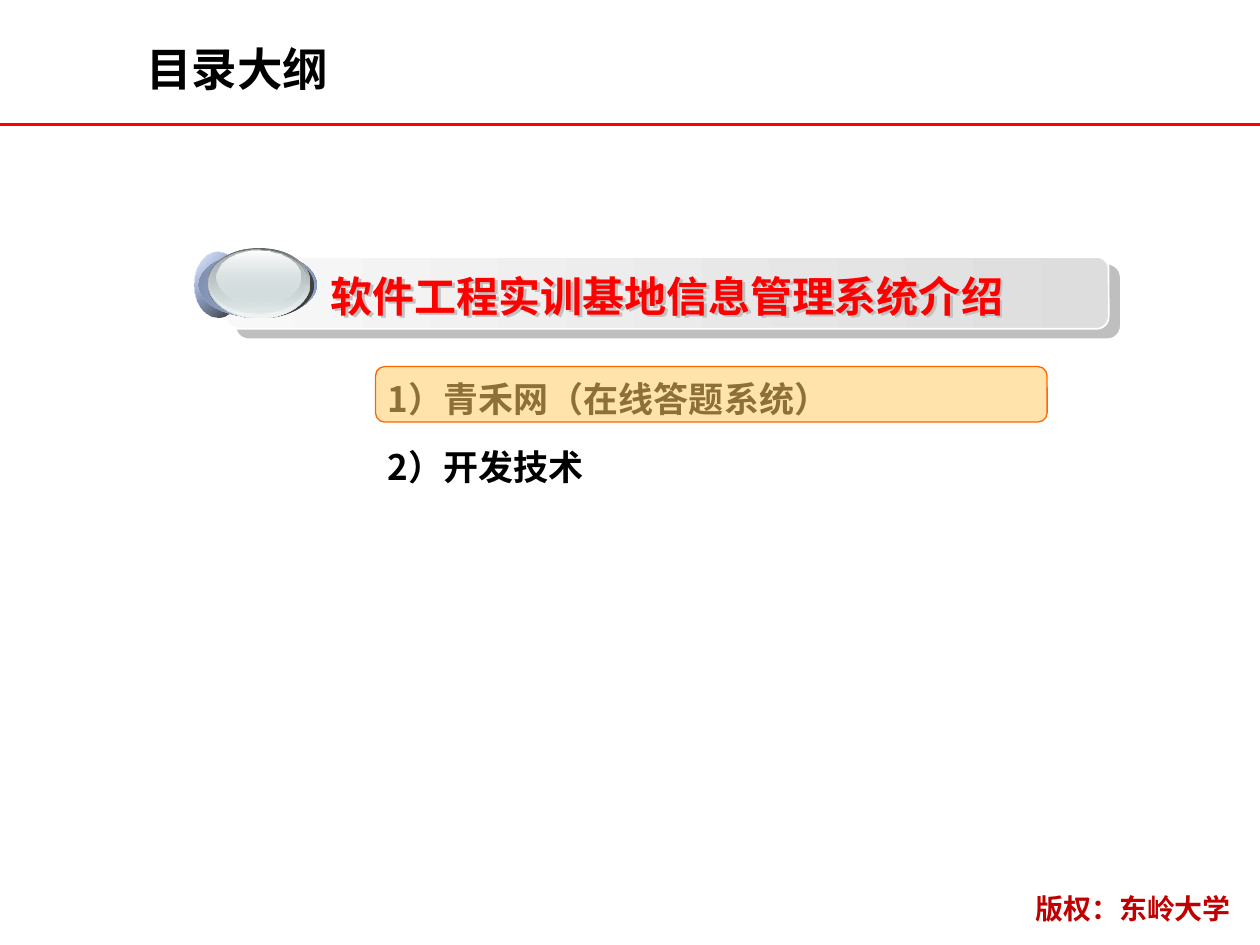
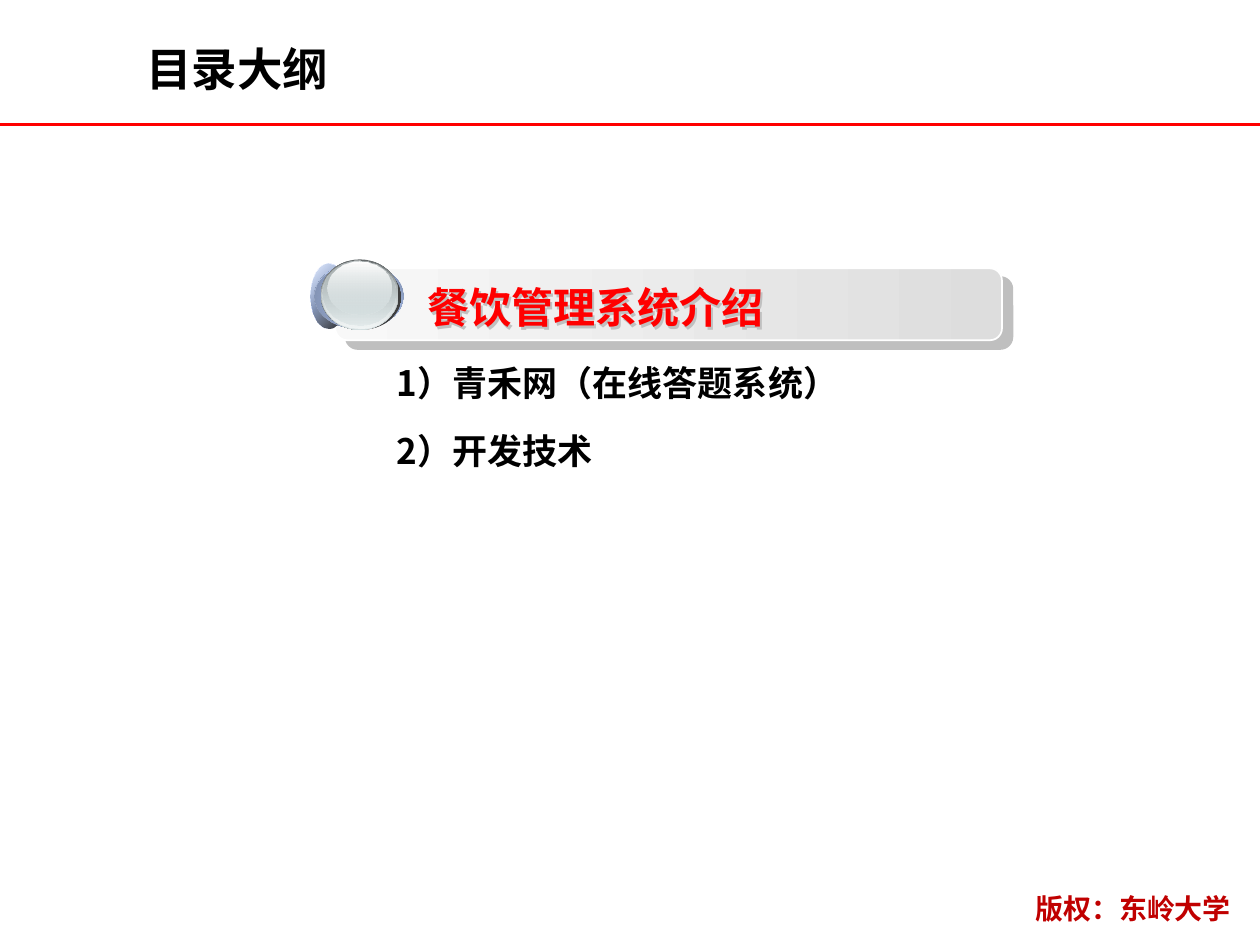
from collections import namedtuple

from pptx import Presentation
from pptx.dml.color import RGBColor
from pptx.enum.shapes import MSO_CONNECTOR, MSO_SHAPE
from pptx.enum.text import MSO_ANCHOR, PP_ALIGN
from pptx.oxml import parse_xml
from pptx.oxml.ns import nsdecls, qn
from pptx.util import Cm, Pt

FONT = "Noto Sans CJK SC"
BLACK, WHITE, RED, DARK_RED = "000000", "FFFFFF", "FF0000", "C00000"
HIGHLIGHT, HIGHLIGHT_EDGE = "FFCC66", "FF6600"
CORNER = 0.167
SLIDE_WIDTH, SLIDE_HEIGHT = 25.4, 19.05
TOPICS = ["1）青禾网（在线答题系统）", "2）开发技术"]

# All boxes are in centimetres
Box = namedtuple("Box", "left top width height")
TITLE_BOX = Box(2.69, 0.64, 13.54, 1.47)
FOOTER_BOX = Box(16.51, 17.98, 12.67, 0.81)
RULE_TOP = 2.51

# Orb layers, back to front: left and width as shares of the orb width,
# top and height in cm, gradient angle, stops of (position, colour, opacity)
BLUE, STEEL, MIST = "B9D0FF", "64718A", "D6E1E2"
ORB_LAYERS = [
    (0, 0.39, 0.08, 1.32, 45, [(0, WHITE, 100), (50, BLUE, 100), (100, WHITE, 100)]),
    (0, 0.39, 0.08, 1.32, 45, [(0, BLUE, 32), (100, BLACK, 90)]),
    (0.04, 0.96, 0.08, 1.32, 315, [(0, STEEL, 100), (50, BLUE, 100), (100, STEEL, 100)]),
    (0.04, 0.96, 0.08, 1.32, 45, [(0, "7684A2", 100), (100, BLUE, 0)]),
    (0.11, 0.87, 0.1, 1.32, 0, [(0, "3F3F3F", 100), (100, "3F3F3F", 100)]),
    (0.11, 0.84, 0, 1.42, 90, [(0, "636869", 100), (100, MIST, 100)]),
    (0.12, 0.82, 0, 1.4, 90, [(0, MIST, 0), (100, "F1F5F5", 100)]),
    (0.13, 0.78, 0.03, 1.3, 90, [(0, "AAB2B3", 100), (100, MIST, 48)]),
    (0.18, 0.69, 0.05, 1.07, 90, [(0, WHITE, 100), (100, MIST, 38)]),
]


def rgb(colour):
    return RGBColor.from_string(colour)


def lengths(box):
    return [Cm(side) for side in box]


def add_run(paragraph, text, size, colour):
    run = paragraph.add_run()
    run.text = text
    run.font.size, run.font.bold, run.font.name = Pt(size), True, FONT
    run.font.color.rgb = rgb(colour)
    properties = run.font._element
    properties.find(qn("a:latin")).addnext(
        parse_xml(f'<a:ea {nsdecls("a")} typeface="{FONT}"/>'))


def set_shadow(shape, colour, opacity, distance, angle):
    properties = shape._element.spPr
    properties.replace(properties.find(qn("a:effectLst")), parse_xml(
        f'<a:effectLst {nsdecls("a")}><a:outerShdw dist="{Pt(distance)}" '
        f'dir="{angle * 60000}" algn="ctr" rotWithShape="0"><a:srgbClr val="{colour}">'
        f'<a:alpha val="{opacity * 1000}"/></a:srgbClr></a:outerShdw></a:effectLst>'))


def set_gradient(shape, angle, stops):
    colours = "".join(
        f'<a:gs pos="{position * 1000}"><a:srgbClr val="{colour}">'
        f'<a:alpha val="{opacity * 1000}"/></a:srgbClr></a:gs>'
        for position, colour, opacity in stops)
    shape.fill.background()
    properties = shape._element.spPr
    properties.replace(properties.find(qn("a:noFill")), parse_xml(
        f'<a:gradFill {nsdecls("a")} rotWithShape="1"><a:gsLst>{colours}</a:gsLst>'
        f'<a:lin ang="{angle * 60000}" scaled="0"/></a:gradFill>'))


def add_plain_shape(shapes, preset, box):
    shape = shapes.add_shape(preset, *lengths(box))
    shape.shadow.inherit = False
    shape.fill.background()
    shape.line.fill.background()
    if preset == MSO_SHAPE.ROUNDED_RECTANGLE:
        shape.adjustments[0] = CORNER
    return shape


def add_frame(slide):
    """Title, red rule and copyright footer of every slide."""
    title = slide.shapes.title
    title.left, title.top, title.width, title.height = lengths(TITLE_BOX)
    title.text_frame.vertical_anchor = MSO_ANCHOR.MIDDLE
    heading = title.text_frame.paragraphs[0]
    heading.alignment = PP_ALIGN.LEFT
    add_run(heading, "目录大纲", 26, BLACK)

    rule = slide.shapes.add_connector(
        MSO_CONNECTOR.STRAIGHT, 0, Cm(RULE_TOP), Cm(SLIDE_WIDTH), Cm(RULE_TOP))
    rule.line.color.rgb, rule.line.width = rgb(RED), Pt(2)
    rule._element.spPr.append(parse_xml(f'<a:effectLst {nsdecls("a")}/>'))

    footer = slide.shapes.add_textbox(*lengths(FOOTER_BOX)).text_frame
    footer.word_wrap = True
    credit = footer.paragraphs[0]
    credit.alignment, credit.line_spacing = PP_ALIGN.CENTER, 0.8
    add_run(credit, "版权：东岭大学", 16, DARK_RED)


def add_orb(shapes, left, top, width):
    for x, share, y, height, angle, stops in ORB_LAYERS:
        layer = add_plain_shape(shapes, MSO_SHAPE.OVAL, Box(
            left + x * width, top + y, share * width, height))
        set_gradient(layer, angle, stops)


def add_section_banner(slide, box, text, text_inset):
    """Grey bar with a glass orb at its left end and a red heading."""
    shapes = slide.shapes.add_group_shape().shapes

    # Bar
    bar = add_plain_shape(shapes, MSO_SHAPE.ROUNDED_RECTANGLE, box)
    set_gradient(bar, 0, [(0, "F8F8F8", 100), (100, "DDDDDD", 100)])
    bar.line.color.rgb, bar.line.width = rgb(WHITE), Pt(1)
    set_shadow(bar, "808080", 50, 7.8, 40)

    # Orb
    add_orb(shapes, box.left - 0.037 * box.width, box.top - 0.18, 0.139 * box.width)

    # Heading
    label = add_plain_shape(shapes, MSO_SHAPE.ROUNDED_RECTANGLE, Box(
        box.left + text_inset, box.top + 0.03, 0.756 * box.width, 1.5))
    set_shadow(label, "C0C0C0", 100, 2, 45)
    frame = label.text_frame
    frame.margin_left = frame.margin_right = frame.margin_top = frame.margin_bottom = 0
    frame.word_wrap, frame.vertical_anchor = False, MSO_ANCHOR.MIDDLE
    frame.paragraphs[0].alignment = PP_ALIGN.LEFT
    add_run(frame.paragraphs[0], text, 24, RED)


def add_topics(slide, box):
    frame = slide.shapes.add_textbox(*lengths(box)).text_frame
    frame.word_wrap, frame.margin_bottom = True, 0
    for number, topic in enumerate(TOPICS):
        line = frame.add_paragraph() if number else frame.paragraphs[0]
        line.line_spacing, line.space_after = 1.2, Pt(10)
        add_run(line, topic, 20, BLACK)


def add_highlight(slide, box):
    """Translucent marker over the current topic."""
    marker = add_plain_shape(slide.shapes, MSO_SHAPE.ROUNDED_RECTANGLE, box)
    set_gradient(marker, 0, [(0, HIGHLIGHT, 54), (100, HIGHLIGHT, 54)])
    marker.line.color.rgb, marker.line.width = rgb(HIGHLIGHT_EDGE), Pt(0.75)


def add_outline_slide(deck, banner_box, heading, text_inset, topics_box):
    slide = deck.slides.add_slide(deck.slide_layouts[5])
    add_frame(slide)
    add_section_banner(slide, banner_box, heading, text_inset)
    add_topics(slide, topics_box)
    return slide


def main():
    deck = Presentation()
    deck.slide_width, deck.slide_height = Cm(SLIDE_WIDTH), Cm(SLIDE_HEIGHT)

    training = add_outline_slide(
        deck, Box(4.57, 5.18, 17.78, 1.45), "软件工程实训基地信息管理系统介绍",
        2.03, Box(7.57, 7.32, 14.12, 4.39))
    add_highlight(training, Box(7.57, 7.39, 13.54, 1.12))

    add_outline_slide(
        deck, Box(6.76, 5.41, 13.44, 1.45), "餐饮管理系统介绍",
        1.78, Box(7.75, 6.99, 12.12, 4.39))

    deck.save("out.pptx")


if __name__ == "__main__":
    main()
